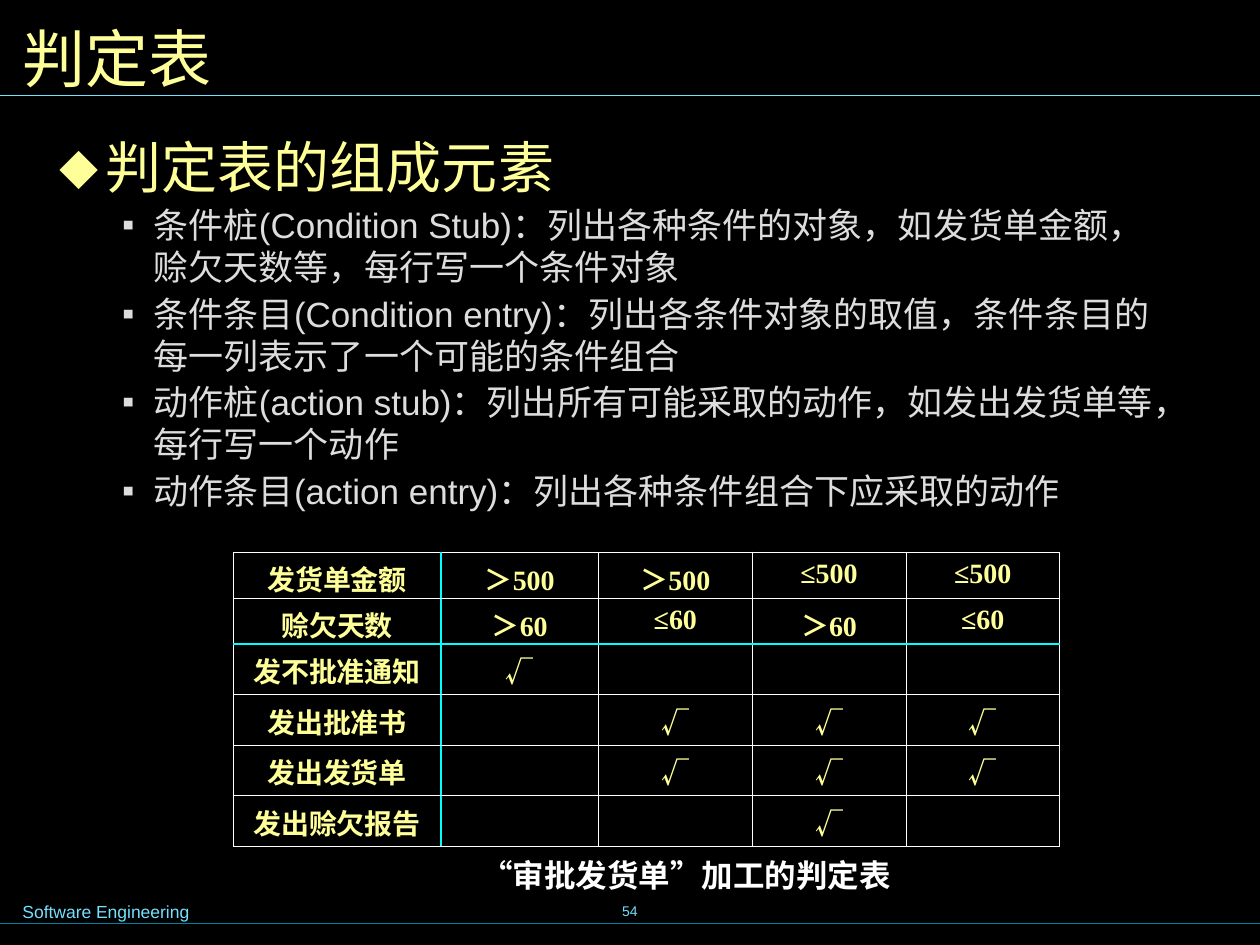
from lxml import etree
from pptx import Presentation
from pptx.dml.color import RGBColor
from pptx.enum.shapes import MSO_CONNECTOR
from pptx.enum.text import MSO_ANCHOR, PP_ALIGN
from pptx.oxml.ns import qn
from pptx.util import Emu, Inches, Pt

LEFT, CENTER = PP_ALIGN.LEFT, PP_ALIGN.CENTER
TOP, MIDDLE = MSO_ANCHOR.TOP, MSO_ANCHOR.MIDDLE
STRAIGHT = MSO_CONNECTOR.STRAIGHT
YELLOW, GREY, WHITE = "FFFF99", "DDDDDD", "FFFFFF"
SKY, TEAL, CYAN = "73E1FF", "007E9F", "00FFFF"
SANS, NARROW, SERIF, CJK = "Arial", "Arial Narrow", "Times New Roman", "Noto Sans CJK SC"
ELEMENTS = [
    "条件桩(Condition Stub)：列出各种条件的对象，如发货单金额，赊欠天数等，每行写一个条件对象",
    "条件条目(Condition entry)：列出各条件对象的取值，条件条目的每一列表示了一个可能的条件组合",
    "动作桩(action stub)：列出所有可能采取的动作，如发出发货单等，每行写一个动作",
    "动作条目(action entry)：列出各种条件组合下应采取的动作",
]
DECISIONS = [
    ["发货单金额", "＞500", "＞500", "≤500", "≤500"],
    ["赊欠天数", "＞60", "≤60", "＞60", "≤60"],
    ["发不批准通知", "√", "", "", ""],
    ["发出批准书", "", "√", "√", "√"],
    ["发出发货单", "", "√", "√", "√"],
    ["发出赊欠报告", "", "", "√", ""],
]
CONDITION_ROWS = 2
COLUMN_WIDTHS = [1.65, 1.25, 1.22, 1.22, 1.22]


def rgb(color):
    """Turn a hex string into a colour."""
    return RGBColor.from_string(color)


def write(p, text, size, color, font, bold=False, align=LEFT):
    """Add one formatted run to a paragraph."""
    p.alignment = align
    r = p.add_run()
    r.text = text
    r.font.size, r.font.name, r.font.bold = Pt(size), font, bold
    r.font.color.rgb = rgb(color)


def add_frame(slide, box, anchor=TOP, wrap=True, margins=(0.1, 0.05)):
    """Add a text box and return its text frame."""
    tf = slide.shapes.add_textbox(*map(Inches, box)).text_frame
    tf.word_wrap, tf.vertical_anchor = wrap, anchor
    tf.margin_left = tf.margin_right = Inches(margins[0])
    tf.margin_top = tf.margin_bottom = Inches(margins[1])
    return tf


def add_rule(slide, y, width, color):
    """Draw a thin horizontal rule from the left edge."""
    line = slide.shapes.add_connector(STRAIGHT, 0, Inches(y), width, Inches(y))
    line.line.color.rgb, line.line.width = rgb(color), Pt(0.75)
    etree.SubElement(line._element.spPr, qn("a:effectLst"))


def set_bullet(p, char, color, left, hang):
    """Give a paragraph a coloured hanging bullet."""
    pPr = p._p.get_or_add_pPr()
    pPr.set("marL", str(Inches(left)))
    pPr.set("indent", str(-Inches(hang)))
    clr = etree.SubElement(pPr, qn("a:buClr"))
    etree.SubElement(clr, qn("a:srgbClr"), val=color)
    etree.SubElement(pPr, qn("a:buFont"), typeface=SANS)
    etree.SubElement(pPr, qn("a:buChar"), char=char)


def set_border(cell, side, color, width):
    """Draw one side of a cell."""
    ln = etree.SubElement(cell._tc.get_or_add_tcPr(), qn(f"a:ln{side}"), w=str(Pt(width)))
    fill = etree.SubElement(ln, qn("a:solidFill"))
    etree.SubElement(fill, qn("a:srgbClr"), val=color)


def add_header(slide, box):
    """Place the slide title."""
    tf = add_frame(slide, box, MIDDLE)
    write(tf.paragraphs[0], "判定表", 36, YELLOW, NARROW)


def add_footer(slide, box):
    """Place the course name and the page number."""
    x, y, w, h = box
    tf = add_frame(slide, (x, y + 0.12, 2.95, 0.27))
    write(tf.paragraphs[0], "Software Engineering", 10, SKY, SANS)
    tf = add_frame(slide, (x + (w - 3.17) / 2, y, 3.17, h), MIDDLE, False)
    write(tf.paragraphs[0], "54", 8, SKY, SANS, align=CENTER)


def add_elements(slide, box):
    """Place the heading and the list of table elements."""
    tf = add_frame(slide, box, margins=(0.12, 0.06))
    p = tf.paragraphs[0]
    set_bullet(p, "⬥", YELLOW, 0.37, 0.37)
    write(p, "判定表的组成元素", 32, YELLOW, SANS)
    for text in ELEMENTS:
        p = tf.add_paragraph()
        p.level = 1
        set_bullet(p, "▪", GREY, 0.75, 0.25)
        p.space_before = Pt(2.5)
        write(p, text, 20, GREY, SANS)


def add_decisions(slide, box):
    """Place the decision table with cyan dividers around its stubs."""
    rows, cols = len(DECISIONS), len(COLUMN_WIDTHS)
    table = slide.shapes.add_table(rows, cols, *map(Inches, box)).table
    table.first_row = table.horz_banding = False
    for column, width in zip(table.columns, COLUMN_WIDTHS):
        column.width = Inches(width)
    thin, thick = (WHITE, 0.45), (CYAN, 1.47)
    for i, row in enumerate(DECISIONS):
        table.rows[i].height = Emu(Inches(box[3]) // rows)
        for j, text in enumerate(row):
            cell = table.cell(i, j)
            font = CJK if text == "√" else SERIF
            write(cell.text_frame.paragraphs[0], text, 16, YELLOW, font, True, CENTER)
            set_border(cell, "L", *(thick if j == 1 else thin))
            set_border(cell, "R", *(thick if j == 0 else thin))
            set_border(cell, "T", *(thick if i == CONDITION_ROWS else thin))
            set_border(cell, "B", *(thick if i == CONDITION_ROWS - 1 else thin))
            cell.fill.background()


def add_caption(slide, box):
    """Place the table caption."""
    tf = add_frame(slide, box, MIDDLE, False)
    write(tf.paragraphs[0], "“审批发货单”加工的判定表", 18, WHITE, SERIF, True, CENTER)


def main():
    """Build the slide and save it."""
    prs = Presentation()
    prs.slide_width, prs.slide_height = Inches(10), Inches(7.5)
    slide = prs.slides.add_slide(prs.slide_layouts[6])
    slide.background.fill.solid()
    slide.background.fill.fore_color.rgb = rgb("000000")
    add_rule(slide, 7.33, prs.slide_width, TEAL)
    add_rule(slide, 0.76, prs.slide_width, SKY)
    add_footer(slide, (0.08, 6.98, 9.84, 0.5))
    add_header(slide, (0.08, 0.08, 9.84, 0.75))
    add_elements(slide, (0.35, 0.99, 9.08, 5.17))
    add_caption(slide, (3.72, 6.74, 3.45, 0.4))
    add_decisions(slide, (1.85, 4.38, sum(COLUMN_WIDTHS), 2.2))
    prs.save("out.pptx")


if __name__ == "__main__":
    main()
